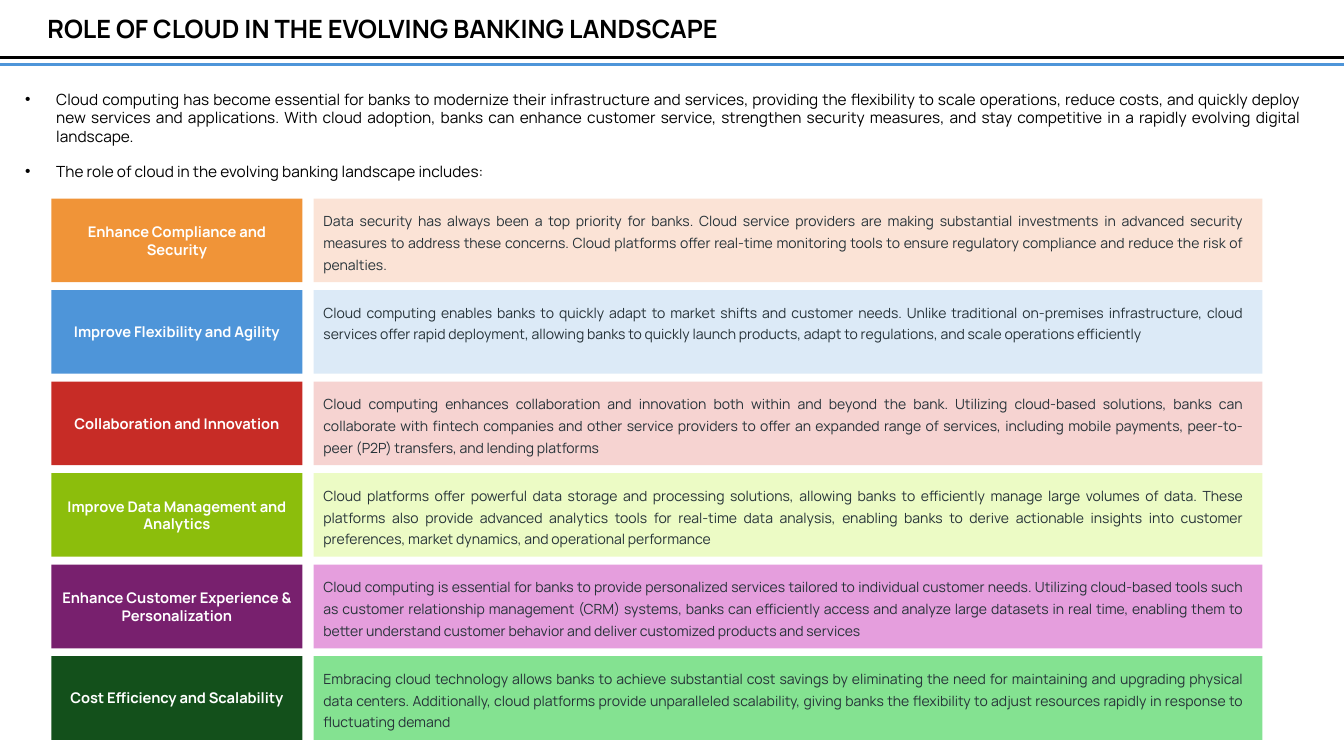
from pptx import Presentation
from pptx.dml.color import RGBColor
from pptx.enum.shapes import MSO_CONNECTOR, MSO_SHAPE
from pptx.enum.text import MSO_ANCHOR, MSO_AUTO_SIZE, PP_ALIGN
from pptx.oxml.ns import qn
from pptx.util import Inches, Pt
from lxml import etree

LEFT, CENTER, JUSTIFY = PP_ALIGN.LEFT, PP_ALIGN.CENTER, PP_ALIGN.JUSTIFY
TOP, MIDDLE, BOTTOM = MSO_ANCHOR.TOP, MSO_ANCHOR.MIDDLE, MSO_ANCHOR.BOTTOM
GROW, FIXED = MSO_AUTO_SIZE.SHAPE_TO_FIT_TEXT, MSO_AUTO_SIZE.NONE
RECTANGLE, STRAIGHT = MSO_SHAPE.RECTANGLE, MSO_CONNECTOR.STRAIGHT

TITLE = "ROLE OF CLOUD IN THE EVOLVING BANKING LANDSCAPE"
INTRO = [
    "Cloud computing has become essential for banks to modernize their infrastructure and services, "
    "providing the flexibility to scale operations, reduce costs, and quickly deploy new services and "
    "applications. With cloud adoption, banks can enhance customer service, strengthen security measures, "
    "and stay competitive in a rapidly evolving digital landscape.",
    "The role of cloud in the evolving banking landscape includes:",
]
ROLES = [
    ("Enhance Compliance and Security", "F09438", "FBE3D6",
     "Data security has always been a top priority for banks. Cloud service providers are making "
     "substantial investments in advanced security measures to address these concerns. Cloud platforms "
     "offer real-time monitoring tools to ensure regulatory compliance and reduce the risk of penalties."),
    ("Improve Flexibility and Agility", "4E95D9", "DCEAF7",
     "Cloud computing enables banks to quickly adapt to market shifts and customer needs. Unlike "
     "traditional on-premises infrastructure, cloud services offer rapid deployment, allowing banks to "
     "quickly launch products, adapt to regulations, and scale operations efficiently"),
    ("Collaboration and Innovation", "C72C26", "F6D3D1",
     "Cloud computing enhances collaboration and innovation both within and beyond the bank. Utilizing "
     "cloud-based solutions, banks can collaborate with fintech companies and other service providers to "
     "offer an expanded range of services, including mobile payments, peer-to-peer (P2P) transfers, and "
     "lending platforms"),
    ("Improve Data Management and Analytics", "8CBE0C", "ECFBC5",
     "Cloud platforms offer powerful data storage and processing solutions, allowing banks to efficiently "
     "manage large volumes of data. These platforms also provide advanced analytics tools for real-time "
     "data analysis, enabling banks to derive actionable insights into customer preferences, market "
     "dynamics, and operational performance"),
    ("Enhance Customer Experience & Personalization", "78206E", "E59EDD",
     "Cloud computing is essential for banks to provide personalized services tailored to individual "
     "customer needs. Utilizing cloud-based tools such as customer relationship management (CRM) systems, "
     "banks can efficiently access and analyze large datasets in real time, enabling them to better "
     "understand customer behavior and deliver customized products and services"),
    ("Cost Efficiency and Scalability", "13501B", "84E291",
     "Embracing cloud technology allows banks to achieve substantial cost savings by eliminating the need "
     "for maintaining and upgrading physical data centers. Additionally, cloud platforms provide "
     "unparalleled scalability, giving banks the flexibility to adjust resources rapidly in response to "
     "fluctuating demand"),
]
RULES = [(0.57, "000000", 2.25), (0.64, "4E95D9", 1.5)]

THEME = {
    "font": "Manrope",
    "title": {"size": 18, "bold": True, "color": "000000"},
    "intro": {"size": 11, "bold": False, "color": "000000"},
    "label": {"size": 10.5, "bold": True, "color": "FFFFFF"},
    "detail": {"size": 10, "bold": False, "color": "263238"},
}

SLIDE_W, SLIDE_H = 13.33, 7.5
ROW_TOP, ROW_LAST, ROW_H = 1.97, 6.51, 0.83
PITCH = (ROW_LAST - ROW_TOP) / (len(ROLES) - 1)
LABEL_X, LABEL_W = 0.51, 2.49
PANEL_X, PANEL_W = 3.11, 9.41
DETAIL_W, DETAIL_H, DETAIL_DROP = 9.31, 0.74, 0.04
INDENT = 0.31


def write(sp, texts, style, anchor, fit, **layout):
    tf = sp.text_frame
    frame = {"word_wrap": True, "vertical_anchor": anchor, "auto_size": fit}
    for name, value in frame.items():
        setattr(tf, name, value)
    look = THEME[style]
    font = {"name": THEME["font"], "size": Pt(look["size"]), "bold": look["bold"]}
    for i, text in enumerate(texts):
        p = tf.paragraphs[0] if i == 0 else tf.add_paragraph()
        for name, value in layout.items():
            setattr(p, name, value)
        r = p.add_run()
        r.text = text
        for name, value in font.items():
            setattr(r.font, name, value)
        r.font.color.rgb = RGBColor.from_string(look["color"])
    return tf


def add_text(s, box):
    return s.shapes.add_textbox(*map(Inches, box))


def add_block(s, box, color):
    sp = s.shapes.add_shape(RECTANGLE, *map(Inches, box))
    sp.shadow.inherit = False
    sp.fill.solid()
    sp.fill.fore_color.rgb = RGBColor.from_string(color)
    sp.line.fill.background()
    return sp


def add_rule(s, y, color, width):
    line = s.shapes.add_connector(STRAIGHT, 0, Inches(y), Inches(SLIDE_W), Inches(y))
    line.line.color.rgb = RGBColor.from_string(color)
    line.line.width = Pt(width)
    etree.SubElement(line._element.spPr, qn("a:effectLst"))


def add_bullet(p):
    pPr = p._p.get_or_add_pPr()
    pPr.set("marL", str(Inches(INDENT)))
    pPr.set("indent", str(-Inches(INDENT)))
    etree.SubElement(pPr, qn("a:buFont")).set("typeface", "Arial")
    etree.SubElement(pPr, qn("a:buChar")).set("char", "•")


def add_role(s, y, label, strong, pale, detail):
    sp = add_block(s, (LABEL_X, y, LABEL_W, ROW_H), strong)
    write(sp, [label], "label", MIDDLE, FIXED, alignment=CENTER)
    add_block(s, (PANEL_X, y, PANEL_W, ROW_H), pale)
    sp = add_text(s, (PANEL_X, y + DETAIL_DROP, DETAIL_W, DETAIL_H))
    write(sp, [detail], "detail", TOP, GROW, alignment=JUSTIFY, line_spacing=1.3)


def main():
    prs = Presentation()
    prs.slide_width, prs.slide_height = Inches(SLIDE_W), Inches(SLIDE_H)
    s = prs.slides.add_slide(prs.slide_layouts[5])

    title = s.shapes.title
    place = {"left": 0.37, "top": 0.08, "width": 12.54, "height": 0.4}
    for name, value in place.items():
        setattr(title, name, Inches(value))
    write(title, [TITLE], "title", TOP, GROW, alignment=LEFT)

    for rule in RULES:
        add_rule(s, *rule)

    intro = add_text(s, (0.15, 0.83, 12.86, 1.01))
    tf = write(intro, INTRO, "intro", BOTTOM, GROW, alignment=JUSTIFY, space_after=Pt(12))
    for p in tf.paragraphs:
        add_bullet(p)

    for i, role in enumerate(ROLES):
        add_role(s, ROW_TOP + i * PITCH, *role)

    prs.save("out.pptx")


if __name__ == "__main__":
    main()
